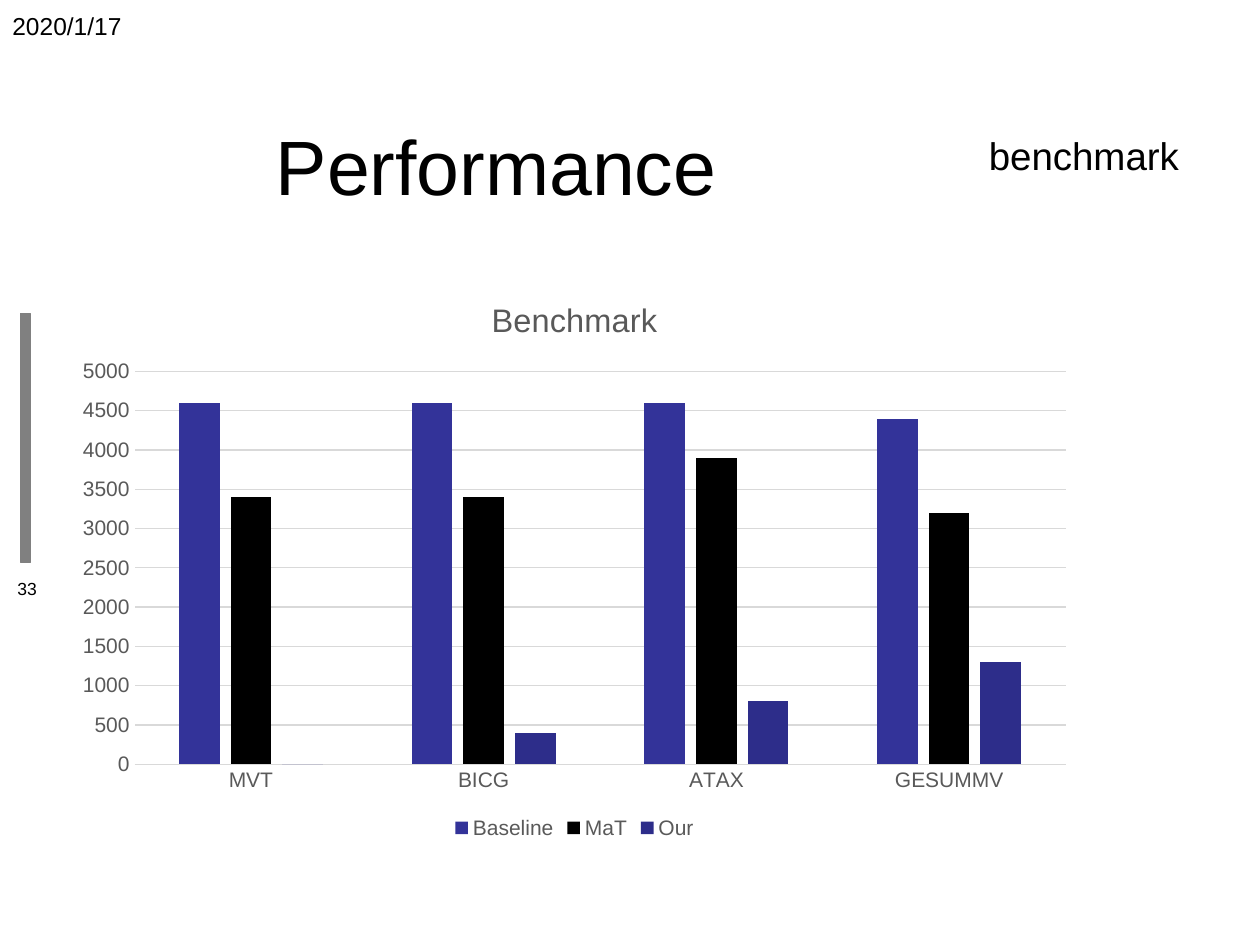
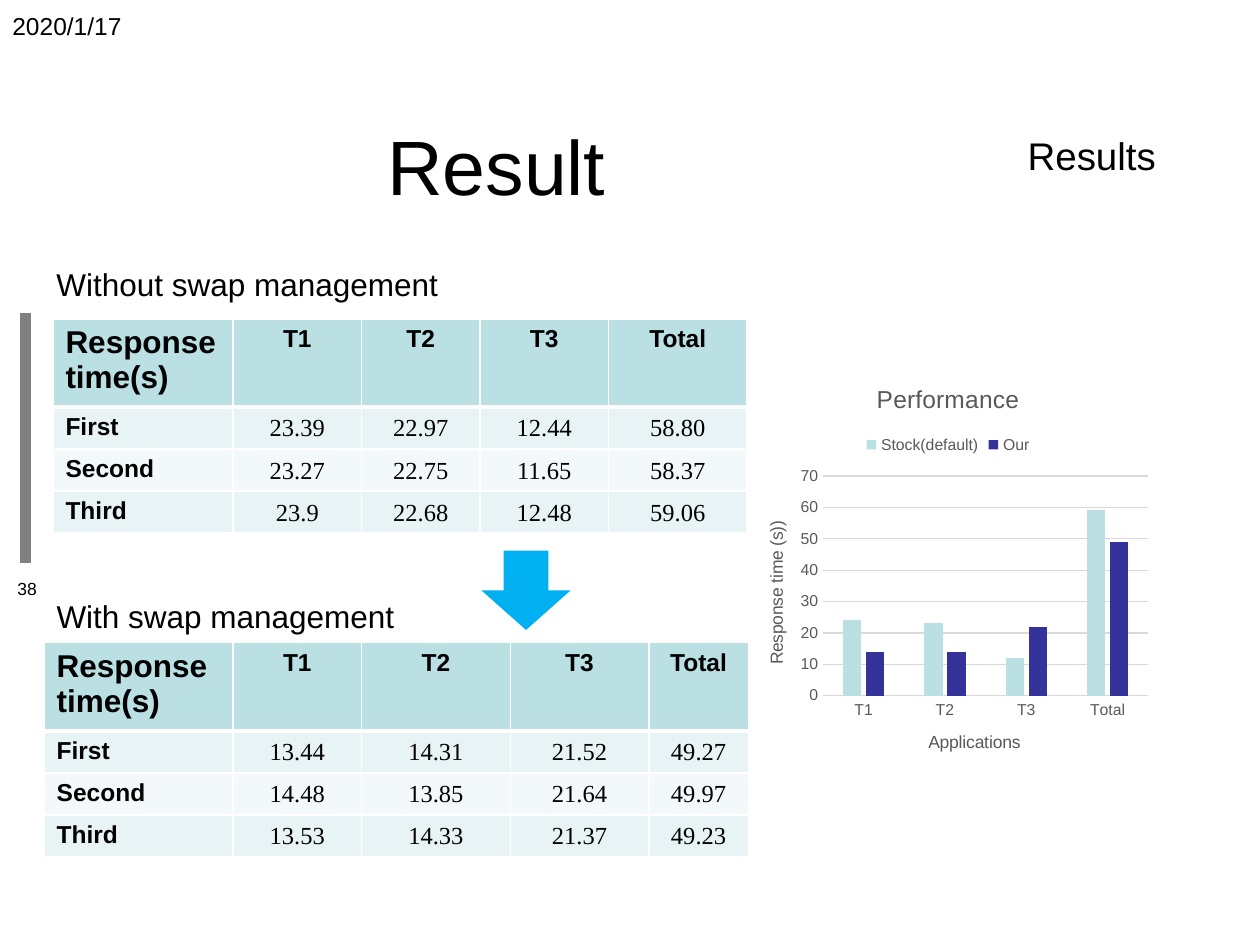
import dataclasses
import lxml.etree
import pptx
import pptx.chart.data
import pptx.dml.color
import pptx.enum.chart
import pptx.enum.shapes
import pptx.enum.text
import pptx.oxml
import pptx.oxml.ns
import pptx.util

Inches = pptx.util.Inches
Pt = pptx.util.Pt
RGB = pptx.dml.color.RGBColor.from_string
ALIGN = pptx.enum.text.PP_ALIGN
ANCHOR = pptx.enum.text.MSO_ANCHOR
CHART = pptx.enum.chart
SHAPE = pptx.enum.shapes.MSO_SHAPE


@dataclasses.dataclass(frozen=True)
class Theme:
    font: str = "Arial"
    number_font: str = "Times New Roman"
    ink: str = "000000"
    bar: str = "808080"
    grey: str = "595959"
    rule: str = "D9D9D9"
    indigo: str = "333399"
    navy: str = "2D2D8A"
    teal: str = "BBE0E3"
    band_dark: str = "E7F3F4"
    band_light: str = "F3F9FA"
    white: str = "FFFFFF"
    arrow: str = "00B0F0"
    title: int = 44
    section: int = 22
    label: int = 18
    cell: int = 14
    page: int = 10


theme = Theme()


def add_text(tf, text, size, align=ALIGN.LEFT, anchor=ANCHOR.TOP, bold=False, font=theme.font, color=theme.ink):
    tf.word_wrap = True
    tf.vertical_anchor = anchor
    p = tf.paragraphs[0]
    p.alignment = align
    r = p.add_run()
    r.text = text
    r.font.size = Pt(size)
    r.font.name = font
    r.font.bold = bold
    r.font.color.rgb = RGB(color)


def add_columns(s, box, title, title_size, size, cats, series, legend, top, step, plot_box):
    data = pptx.chart.data.CategoryChartData()
    data.categories = cats
    for name, values, color in series:
        data.add_series(name, values)
    kind = CHART.XL_CHART_TYPE.COLUMN_CLUSTERED
    chart = s.shapes.add_chart(kind, *map(Inches, box), data).chart
    chart.font.name = theme.font
    chart.font.size = Pt(size)
    chart.font.color.rgb = RGB(theme.grey)
    chart.has_title = True
    add_text(chart.chart_title.text_frame, title, title_size, ALIGN.CENTER, color=theme.grey)
    chart.chart_title.include_in_layout = False
    chart.has_legend = True
    chart.legend.position = legend
    chart.legend.include_in_layout = False
    plot = chart.plots[0]
    plot.gap_width = 219
    plot.overlap = -27
    plot.vary_by_categories = False
    for bars, (name, values, color) in zip(plot.series, series):
        bars.format.fill.solid()
        bars.format.fill.fore_color.rgb = RGB(color)
    for axis in (chart.category_axis, chart.value_axis):
        axis.major_tick_mark = CHART.XL_TICK_MARK.NONE
        axis.minor_tick_mark = CHART.XL_TICK_MARK.NONE
    axis.minimum_scale = 0
    axis.maximum_scale = top
    axis.major_unit = step
    axis.format.line.fill.background()
    for line in (chart.category_axis.format.line, axis.major_gridlines.format.line):
        line.color.rgb = RGB(theme.rule)
        line.width = Pt(0.75)
    area = chart.plots[0]._element.getparent()
    for old in area.findall(pptx.oxml.ns.qn("c:layout")):
        area.remove(old)
    places = "".join(f'<c:{k} val="{v}"/>' for k, v in zip("xywh", plot_box))
    area.insert(0, pptx.oxml.parse_xml(
        f'<c:layout {pptx.oxml.ns.nsdecls("c")}><c:manualLayout><c:layoutTarget val="inner"/>'
        f'<c:xMode val="edge"/><c:yMode val="edge"/>{places}</c:manualLayout></c:layout>'))
    return chart


prs = pptx.Presentation()
prs.slide_width = Inches(10)
prs.slide_height = Inches(7.5)

pages = [
    ("Performance", "benchmark", "33", ALIGN.LEFT),
    ("Result", "Results", "38", ALIGN.CENTER),
]
slides = []
for title, section, number, section_align in pages:
    s = prs.slides.add_slide(prs.slide_layouts[6])
    slides.append(s)
    bar = s.shapes.add_shape(SHAPE.RECTANGLE, Inches(0.16), Inches(2.49), Inches(0.08), Inches(1.97))
    bar.shadow.inherit = False
    bar.fill.solid()
    bar.fill.fore_color.rgb = RGB(theme.bar)
    bar.line.color.rgb = RGB(theme.bar)
    bar.line.width = Pt(0.25)
    for box, text, size, align, anchor in [
        ((0.51, 0.83, 6.86, 0.95), title, theme.title, ALIGN.CENTER, ANCHOR.MIDDLE),
        ((0, 0.04, 2.33, 0.52), "2020/1/17", theme.cell, ALIGN.LEFT, ANCHOR.TOP),
        ((0, 4.54, 0.43, 0.3), number, theme.page, ALIGN.CENTER, ANCHOR.TOP),
        ((7.75, 1, 1.83, 0.5), section, theme.section, section_align, ANCHOR.TOP),
    ]:
        tf = s.shapes.add_textbox(*map(Inches, box)).text_frame
        add_text(tf, text, size, align, anchor)

performance, result = slides

add_columns(
    performance, (0.5, 2.18, 8.12, 4.52), "Benchmark", 18.6, 12,
    ["MVT", "BICG", "ATAX", "GESUMMV"],
    [
        ("Baseline", [4600, 4600, 4600, 4400], theme.indigo),
        ("MaT", [3400, 3400, 3900, 3200], theme.ink),
        ("Our", [0, 400, 800, 1300], theme.navy),
    ],
    CHART.XL_LEGEND_POSITION.BOTTOM, 5000, 500, (0.07, 0.17, 0.91, 0.69))

header = ["Response time(s)", "T1", "T2", "T3", "Total"]
tables = [
    (0.42, 2.53, [1.43, 1.02, 0.94, 1.02, 1.1], [
        ["First", "23.39", "22.97", "12.44", "58.80"],
        ["Second", "23.27", "22.75", "11.65", "58.37"],
        ["Third", "23.9", "22.68", "12.48", "59.06"],
    ]),
    (0.35, 5.1, [1.5, 1.02, 1.18, 1.1, 0.79], [
        ["First", "13.44", "14.31", "21.52", "49.27"],
        ["Second", "14.48", "13.85", "21.64", "49.97"],
        ["Third", "13.53", "14.33", "21.37", "49.23"],
    ]),
]
row_heights = [0.65, 0.32, 0.32, 0.32]
for left, top, widths, body in tables:
    table = result.shapes.add_table(
        4, 5, Inches(left), Inches(top), Inches(sum(widths)), Inches(sum(row_heights))).table
    for column, width in zip(table.columns, widths):
        column.width = Inches(width)
    for row, height in zip(table.rows, row_heights):
        row.height = Inches(height)
    for i, values in enumerate([header] + body):
        for j, value in enumerate(values):
            cell = table.cell(i, j)
            is_number = i > 0 and j > 0
            if is_number:
                cell.margin_left = cell.margin_right = cell.margin_top = Inches(0.01)
                cell.margin_bottom = 0
            add_text(
                cell.text_frame, value,
                theme.label if i == j == 0 else theme.cell,
                ALIGN.CENTER if j else ALIGN.LEFT,
                bold=not is_number,
                font=theme.number_font if is_number else theme.font)
            cell.vertical_anchor = ANCHOR.MIDDLE if is_number else ANCHOR.TOP
            for side in "LRTB":
                thick = (i, side) in [(0, "B"), (1, "T")]
                ln = lxml.etree.SubElement(
                    cell._tc.get_or_add_tcPr(), pptx.oxml.ns.qn(f"a:ln{side}"), w=str(Pt(3 if thick else 1)))
                fill = lxml.etree.SubElement(ln, pptx.oxml.ns.qn("a:solidFill"))
                lxml.etree.SubElement(fill, pptx.oxml.ns.qn("a:srgbClr"), val=theme.white)
            cell.fill.solid()
            band = theme.band_dark if i % 2 else theme.band_light
            cell.fill.fore_color.rgb = RGB(band if i else theme.teal)

arrow = result.shapes.add_shape(SHAPE.DOWN_ARROW, Inches(3.82), Inches(4.37), Inches(0.71), Inches(0.63))
arrow.shadow.inherit = False
arrow.fill.solid()
arrow.fill.fore_color.rgb = RGB(theme.arrow)
arrow.line.fill.background()

chart = add_columns(
    result, (5.87, 2.89, 3.31, 3.29), "Performance", 14, 9,
    ["T1", "T2", "T3", "Total"],
    [
        ("Stock(default)", [24, 23, 12, 59], theme.teal),
        ("Our", [14, 14, 22, 49], theme.indigo),
    ],
    CHART.XL_LEGEND_POSITION.TOP, 70, 10, (0.2, 0.27, 0.78, 0.53))
for axis, text in [(chart.category_axis, "Applications"), (chart.value_axis, "Response time (s))")]:
    add_text(axis.axis_title.text_frame, text, 10, ALIGN.CENTER, color=theme.grey)
chart.value_axis.axis_title.text_frame._txBody.bodyPr.set("rot", "-5400000")
chart.value_axis.axis_title.text_frame._txBody.bodyPr.set("vert", "horz")

for top, width, text in [(2.05, 3.86, "Without swap management"), (4.69, 3.15, "With swap management")]:
    tf = result.shapes.add_textbox(Inches(0.35), Inches(top), Inches(width), Inches(0.4)).text_frame
    add_text(tf, text, theme.label, anchor=ANCHOR.MIDDLE)

prs.save("out.pptx")
